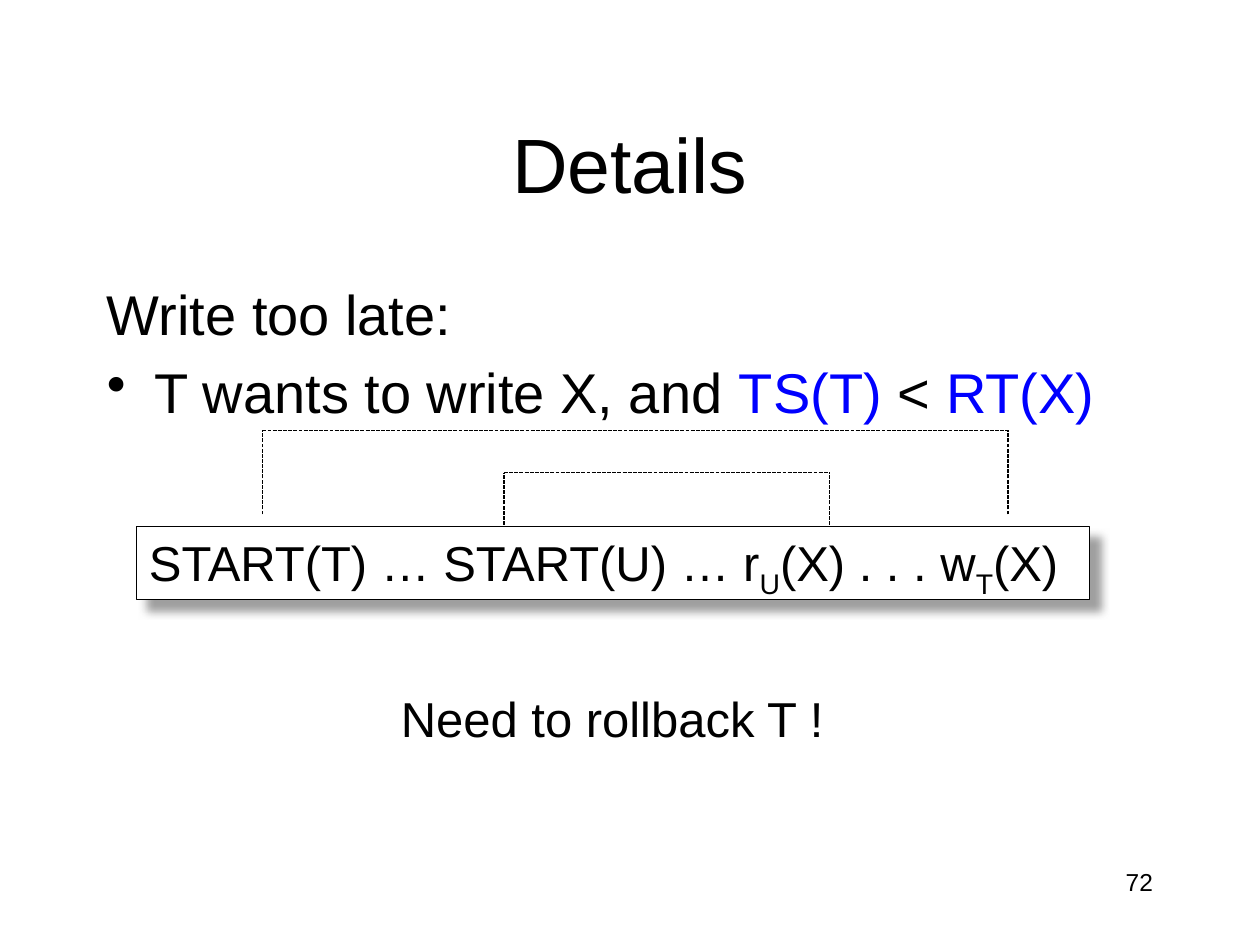
from pptx import Presentation
from pptx.dml.color import RGBColor
from pptx.enum.dml import MSO_LINE
from pptx.enum.shapes import MSO_CONNECTOR, MSO_SHAPE
from pptx.enum.text import MSO_ANCHOR, MSO_AUTO_SIZE, PP_ALIGN
from pptx.oxml import parse_xml
from pptx.oxml.ns import nsdecls
from pptx.oxml.xmlchemy import OxmlElement
from pptx.util import Pt

LEFT, CENTER, RIGHT = PP_ALIGN.LEFT, PP_ALIGN.CENTER, PP_ALIGN.RIGHT
TOP, MIDDLE = MSO_ANCHOR.TOP, MSO_ANCHOR.MIDDLE
GROW, FIXED = MSO_AUTO_SIZE.SHAPE_TO_FIT_TEXT, MSO_AUTO_SIZE.NONE
STRAIGHT = MSO_CONNECTOR.STRAIGHT
RECTANGLE = MSO_SHAPE.RECTANGLE
DASH = MSO_LINE.SQUARE_DOT

COLORS = {"ink": "000000", "paper": "FFFFFF", "timestamp": "0000FF", "shadow": "808080"}
FONT = "Arial"
SUBSCRIPT = "-25000"


def color(name):
    return RGBColor.from_string(COLORS[name])


def format_frame(shape, anchor=TOP, wrap=True, size_rule=FIXED):
    frame = shape.text_frame
    values = {"word_wrap": wrap, "auto_size": size_rule, "vertical_anchor": anchor}
    for name, value in values.items():
        setattr(frame, name, value)
    return frame


def write_paragraph(para, spans, size, align=LEFT):
    """Each span is a text, a colour name and whether it is a subscript."""
    para.alignment = align
    for text, ink, subscript in spans:
        span = para.add_run()
        span.text = text
        for name, value in {"name": FONT, "size": Pt(size)}.items():
            setattr(span.font, name, value)
        span.font.color.rgb = color(ink)
        if subscript:
            span.font._element.set("baseline", SUBSCRIPT)


def space_before(para):
    """Put a gap of 20% of the line above the paragraph."""
    properties = para._p.get_or_add_pPr()
    gap = OxmlElement("a:spcBef")
    percent = OxmlElement("a:spcPct")
    percent.set("val", "20000")
    gap.append(percent)
    properties.append(gap)


def hang(para, bullet=None):
    properties = para._p.get_or_add_pPr()
    indent = Pt(27)
    properties.set("marL", str(indent))
    properties.set("indent", str(-indent))
    if bullet:
        mark = OxmlElement("a:buChar")
        mark.set("char", bullet)
        properties.append(mark)


def add_label(page, area, text, size, align=LEFT, **frame_format):
    box = page.shapes.add_textbox(*map(Pt, area))
    frame = format_frame(box, **frame_format)
    write_paragraph(frame.paragraphs[0], [(text, "ink", False)], size, align)


def add_rule(page):
    box = page.shapes.add_textbox(Pt(54), Pt(156), Pt(642), Pt(240))
    frame = format_frame(box)
    heading = [("Write too late:", "ink", False)]
    condition = [
        ("T wants to write X, and ", "ink", False),
        ("TS(T)", "timestamp", False),
        (" < ", "ink", False),
        ("RT(X)", "timestamp", False),
    ]
    for para, spans, bullet in (
        (frame.paragraphs[0], heading, None),
        (frame.add_paragraph(), condition, "•"),
    ):
        write_paragraph(para, spans, 32)
        space_before(para)
        hang(para, bullet)


def add_schedule(page):
    box = page.shapes.add_shape(RECTANGLE, Pt(78), Pt(301), Pt(544.5), Pt(41.5))
    box.fill.solid()
    box.fill.fore_color.rgb = color("paper")
    box.line.color.rgb = color("ink")
    box.line.width = Pt(0.75)
    box._element.spPr.append(parse_xml(
        f'<a:effectLst {nsdecls("a")}>'
        f'<a:outerShdw blurRad="{Pt(5)}" dist="{Pt(8.5)}" dir="{45 * 60000}" algn="ctr">'
        f'<a:srgbClr val="{COLORS["shadow"]}"><a:alpha val="75000"/></a:srgbClr>'
        "</a:outerShdw></a:effectLst>"
    ))
    para = format_frame(box, wrap=False, size_rule=GROW).paragraphs[0]
    texts = ["START(T) … START(U) … r", "U", "(X) . . . w", "T", "(X)"]
    spans = [(text, "ink", index % 2 == 1) for index, text in enumerate(texts)]
    write_paragraph(para, spans, 28)
    space_before(para)


def add_dashed_line(page, start, end):
    line = page.shapes.add_connector(STRAIGHT, *map(Pt, (*start, *end)))
    line.line.color.rgb = color("ink")
    line.line.width = Pt(0.75)
    line.line.dash_style = DASH
    line._element.spPr.append(OxmlElement("a:effectLst"))


def add_bracket(page, left, right, top, bottom):
    """Join two steps of the schedule from above."""
    for x in (left, right):
        add_dashed_line(page, (x, bottom), (x, top))
    add_dashed_line(page, (left, top), (right, top))


def main():
    deck = Presentation()
    deck.slide_width, deck.slide_height = Pt(720), Pt(540)
    page = deck.slides.add_slide(deck.slide_layouts[6])
    add_label(page, (54, 48, 612, 90), "Details", 44, CENTER, anchor=MIDDLE)
    add_rule(page)
    add_schedule(page)
    add_label(page, (222, 390, 258, 41), "Need to rollback T !", 28,
              wrap=False, size_rule=GROW)
    add_label(page, (516, 492, 150, 36), "72", 14, RIGHT)
    add_bracket(page, left=150, right=576, top=246, bottom=294)
    add_bracket(page, left=288, right=474, top=270, bottom=300)
    deck.save("out.pptx")


if __name__ == "__main__":
    main()
